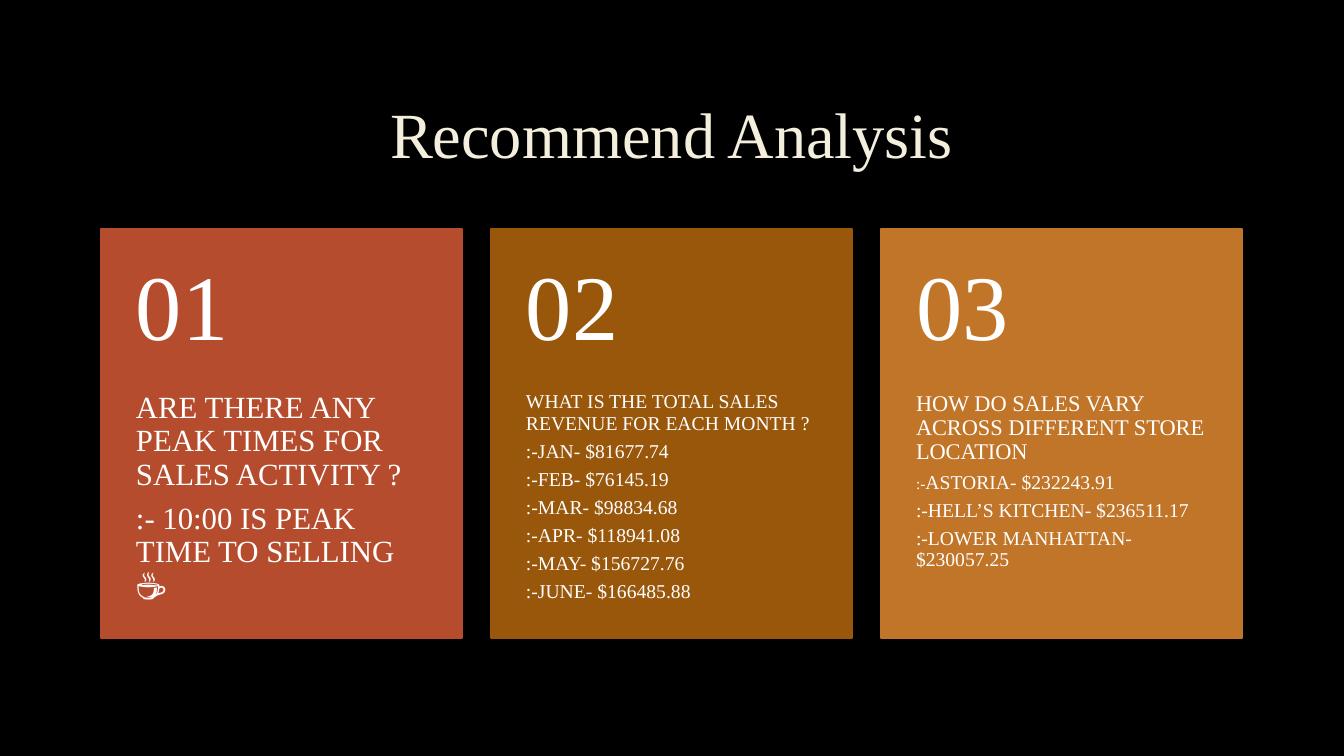
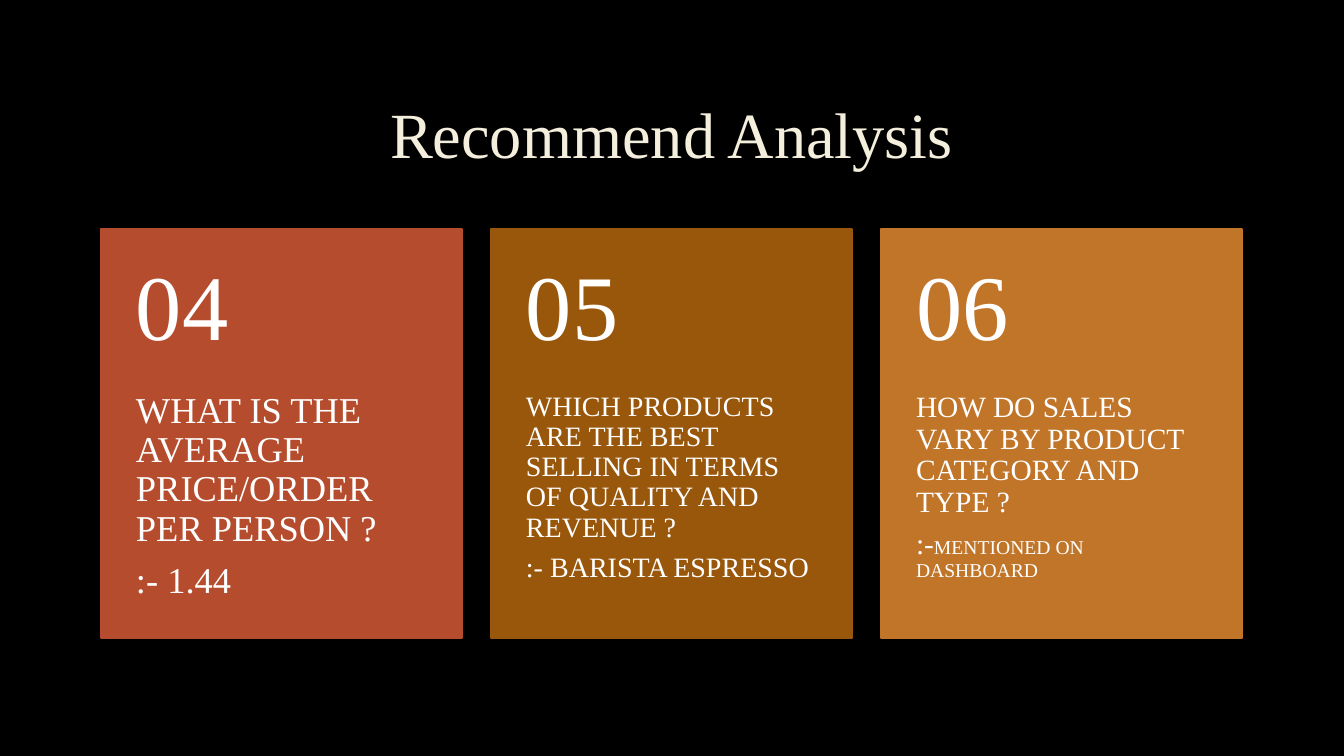
from dataclasses import dataclass

from pptx import Presentation
from pptx import util as u
from pptx.dml.color import RGBColor
from pptx.enum import shapes, text


@dataclass(frozen=True)
class Theme:
    font: str = "Times New Roman"
    background: str = "000000"
    title: str = "F4EEDC"
    body: str = "FFFFFF"
    cards: tuple = ("B54C2D", "99570C", "C17529")
    title_size: int = 46
    number_size: int = 66
    card_line: float = 1.25
    line_spacing: float = 0.9
    space_after: float = 0.35


THEME = Theme()
PX = 914400 / 100.8
SLIDE_SIZE = (1344, 756)
TITLE_BOX = (101, 68, 1141, 139)
CARD_LEFT, CARD_TOP, CARD_WIDTH, CARD_HEIGHT = 101, 229, 361, 409
CARD_PITCH = 390
NUMBER_HEIGHT = 163
CARD_INSETS = (35, NUMBER_HEIGHT, 35, 36)
NUMBER_INSETS = (35, 18, 35, 18)
TITLE_INSETS = (10, 5, 10, 5)

TITLE = "Recommend Analysis"
SLIDES = [
    [
        [
            [("ARE THERE ANY PEAK TIMES FOR SALES ACTIVITY ?", 22)],
            [(":- 10:00 IS PEAK TIME TO SELLING ☕", 22)],
        ],
        [
            [("WHAT IS THE TOTAL SALES REVENUE FOR EACH MONTH ?", 14)],
            [(":-JAN- $81677.74", 14)],
            [(":-FEB- $76145.19", 14)],
            [(":-MAR- $98834.68", 14)],
            [(":-APR- $118941.08", 14)],
            [(":-MAY- $156727.76", 14)],
            [(":-JUNE- $166485.88", 14)],
        ],
        [
            [("HOW DO SALES VARY ACROSS DIFFERENT STORE LOCATION", 16)],
            [(":-", 11), ("ASTORIA- $232243.91", 14)],
            [(":-HELL’S KITCHEN- $236511.17", 14)],
            [(":-LOWER MANHATTAN- $230057.25", 14)],
        ],
    ],
    [
        [
            [("WHAT IS THE AVERAGE PRICE/ORDER PER PERSON ?", 26)],
            [(":- 1.44", 26)],
        ],
        [
            [("WHICH PRODUCTS ARE THE BEST SELLING IN TERMS OF QUALITY AND REVENUE ?", 20)],
            [(":- BARISTA ESPRESSO", 20)],
        ],
        [
            [("HOW DO SALES VARY BY PRODUCT CATEGORY AND TYPE ?", 21)],
            [(":-", 21), ("MENTIONED ON DASHBOARD", 14)],
        ],
    ],
]


def px(*lengths):
    return [u.Emu(round(length * PX)) for length in lengths]


def write(shape, paragraphs, insets, anchor, color=THEME.body, align=text.PP_ALIGN.LEFT):
    frame = shape.text_frame
    frame.word_wrap = True
    frame.auto_size = text.MSO_AUTO_SIZE.NONE
    frame.vertical_anchor = anchor
    frame.margin_left, frame.margin_top, frame.margin_right, frame.margin_bottom = px(*insets)
    for index, runs in enumerate(paragraphs):
        paragraph = frame.add_paragraph() if index else frame.paragraphs[0]
        paragraph.alignment = align
        paragraph.line_spacing = THEME.line_spacing
        paragraph.space_after = u.Pt(THEME.space_after * max(size for _, size in runs))
        for words, size in runs:
            run = paragraph.add_run()
            run.text = words
            run.font.name = THEME.font
            run.font.size = u.Pt(size)
            run.font.color.rgb = RGBColor.from_string(color)


def add_card(slide, column, number, paragraphs):
    left = CARD_LEFT + column * CARD_PITCH
    color = RGBColor.from_string(THEME.cards[column])
    card = slide.shapes.add_shape(
        shapes.MSO_SHAPE.RECTANGLE, *px(left, CARD_TOP, CARD_WIDTH, CARD_HEIGHT))
    card.shadow.inherit = False
    card.fill.solid()
    card.fill.fore_color.rgb = color
    card.line.color.rgb = color
    card.line.width = u.Pt(THEME.card_line)
    write(card, paragraphs, CARD_INSETS, text.MSO_ANCHOR.TOP)

    label = slide.shapes.add_textbox(*px(left, CARD_TOP, CARD_WIDTH, NUMBER_HEIGHT))
    write(label, [[(f"{number:02d}", THEME.number_size)]], NUMBER_INSETS, text.MSO_ANCHOR.MIDDLE)


def add_slide(presentation, first_number, cards):
    slide = presentation.slides.add_slide(presentation.slide_layouts[6])
    slide.background.fill.solid()
    slide.background.fill.fore_color.rgb = RGBColor.from_string(THEME.background)
    title = slide.shapes.add_textbox(*px(*TITLE_BOX))
    write(title, [[(TITLE, THEME.title_size)]], TITLE_INSETS, text.MSO_ANCHOR.MIDDLE,
          THEME.title, text.PP_ALIGN.CENTER)
    for column, paragraphs in enumerate(cards):
        add_card(slide, column, first_number + column, paragraphs)


def main():
    presentation = Presentation()
    presentation.slide_width, presentation.slide_height = px(*SLIDE_SIZE)
    first_number = 1
    for cards in SLIDES:
        add_slide(presentation, first_number, cards)
        first_number += len(cards)
    presentation.save("out.pptx")


if __name__ == "__main__":
    main()
